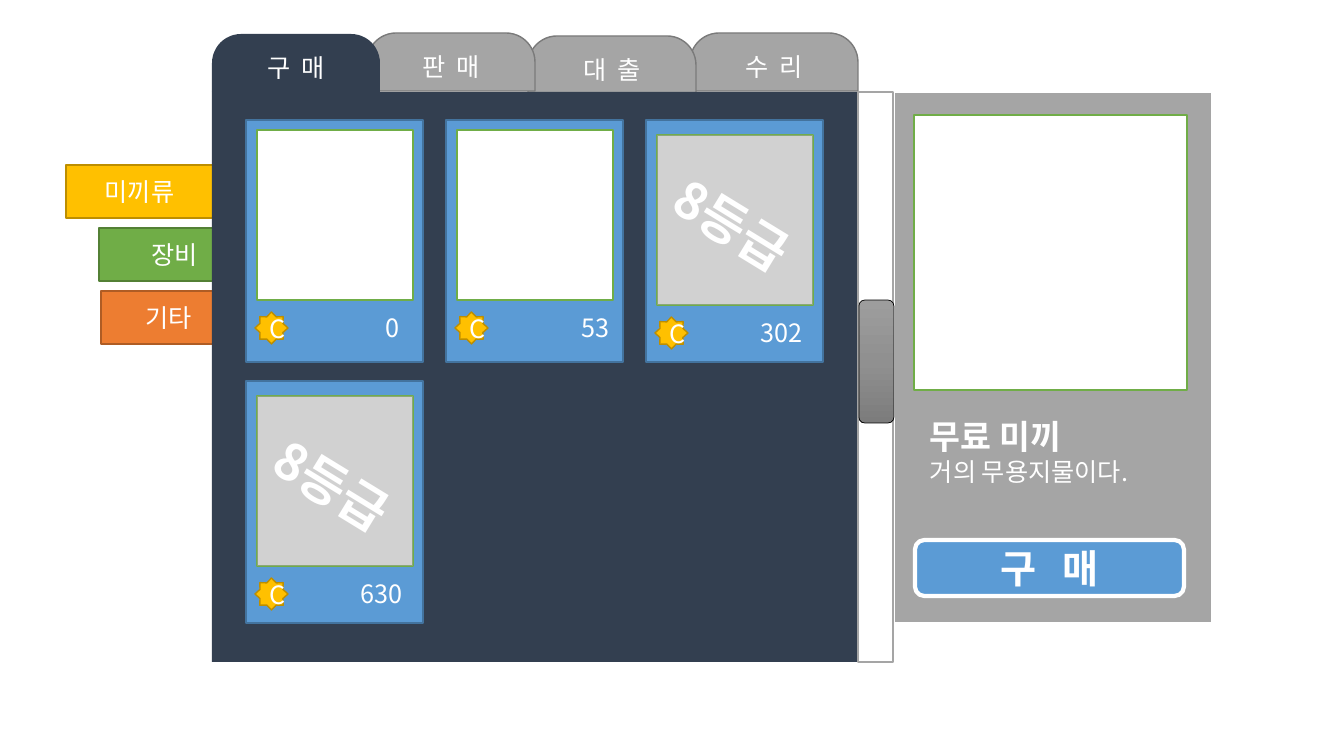
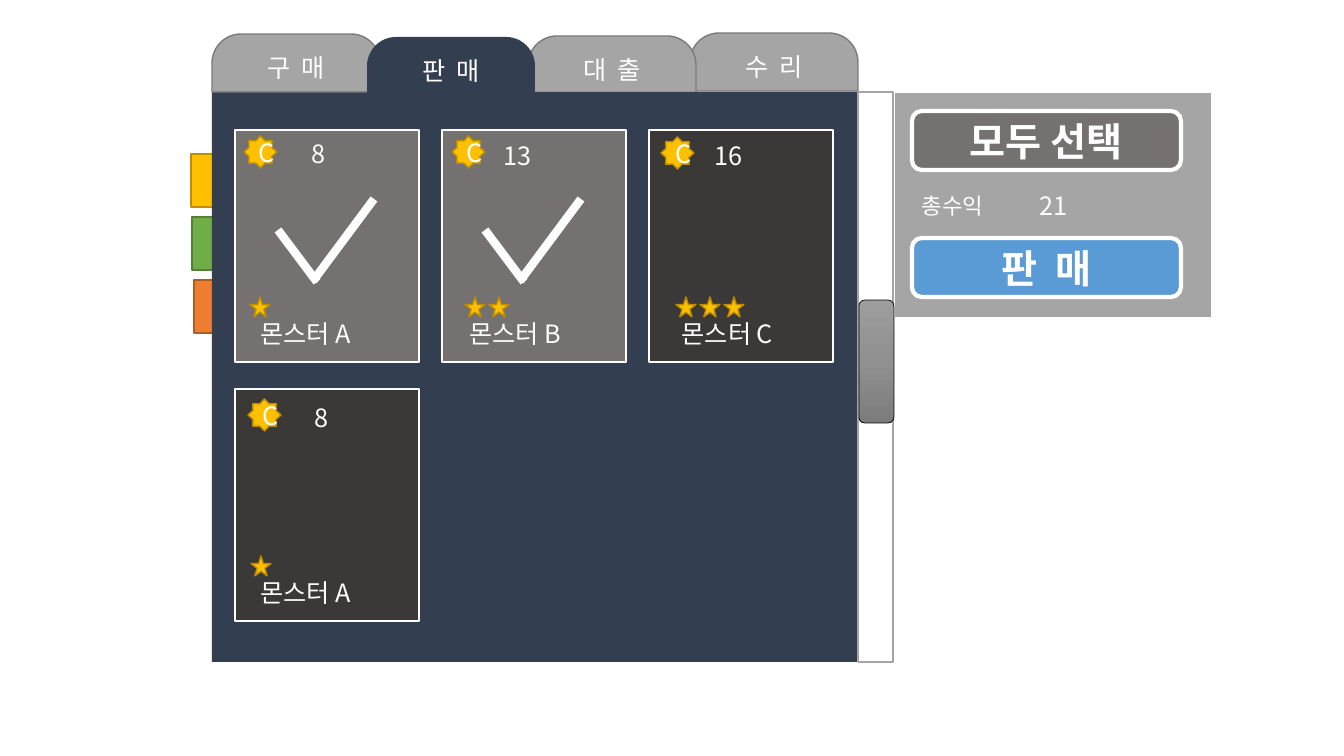
from collections import namedtuple
from copy import deepcopy
from dataclasses import dataclass

from lxml.etree import SubElement
from pptx import Presentation
from pptx.dml.color import RGBColor
from pptx.enum.shapes import MSO_CONNECTOR as Connector, MSO_SHAPE as Preset
from pptx.enum.text import MSO_ANCHOR as Anchor, MSO_AUTO_SIZE as AutoSize, PP_ALIGN as Align
from pptx.oxml.ns import qn
from pptx.util import Emu, Pt

EMU_PER_PIXEL = 914400 / 100.8


@dataclass(frozen=True)
class Theme:
    """Colours, type sizes and line widths of the shop screens."""
    font: str = "Noto Sans CJK KR"
    white: str = "FFFFFF"
    black: str = "000000"
    navy: str = "333F50"
    gray: str = "A5A5A5"
    gray_edge: str = "7A7A7A"
    blue: str = "5B9BD5"
    blue_edge: str = "43739E"
    gold: str = "FFC000"
    gold_edge: str = "BD8E00"
    green: str = "70AD47"
    green_edge: str = "538035"
    orange: str = "ED7D31"
    orange_edge: str = "AF5C24"
    selected: str = "767171"
    unselected: str = "3B3838"
    thumb: tuple = ("9D9D9D", "909090", "7C7C7C")
    label: int = 16
    body: int = 18
    heading: int = 24
    action: int = 28
    stamp: int = 36
    thin: float = 0.5
    edge: float = 1
    frame: float = 1.5
    thick: float = 3
    check: float = 6


THEME = Theme()


class Box(namedtuple("Box", "left top width height")):
    """A rectangle in pixels."""

    def inside(self, left, top, width, height):
        """Return a box placed relative to this one."""
        return Box(self.left + left, self.top + top, width, height)

    def emu(self):
        """Return the four lengths in EMU."""
        return [pixels(value) for value in self]


Item = namedtuple("Item", "price price_right locked")
Monster = namedtuple("Monster", "name price stars selected coin amount star_left name_left")

FRAME = Box(212, 92, 681, 570)
SIDE = Box(894, 92, 318, 531)
TAB_LABELS = ["구 매", "판 매", "대 출", "수 리"]
TAB_LEFTS = [212, 367, 528, 690]
ITEMS = [Item("0", 163, False), Item("53", 173, False),
         Item("302", 166, True), Item("630", 166, True)]
MONSTERS = [
    Monster("몬스터 A", "8", 1, True, (9, 6), (100, 3), 15, -11),
    Monster("몬스터 B", "13", 2, True, (10, 6), (99, 5), 23, -8),
    Monster("몬스터 C", "16", 3, False, (12, 7), (103, 5), 27, -3),
    Monster("몬스터 A", "8", 1, False, (13, 10), (103, 8), 16, -11),
]


def pixels(value):
    """Turn pixels into EMU."""
    return Emu(round(value * EMU_PER_PIXEL))


def set_values(target, values):
    """Set every attribute named in a dict."""
    for name, value in values.items():
        setattr(target, name, value)


def write(paragraph, text, size=THEME.body, bold=False, align=Align.CENTER, spacing=0):
    """Write one styled run, with letter spacing in points."""
    paragraph.alignment = align
    run = paragraph.add_run()
    run.text = text
    set_values(run.font, {"size": Pt(size), "bold": bold, "name": THEME.font})
    run.font.color.rgb = RGBColor.from_string(THEME.white)
    properties = run.font._element
    SubElement(properties, qn("a:ea")).set("typeface", THEME.font)
    if spacing:
        properties.set("spc", str(spacing * 100))


def add_shape(slide, preset, box, fill, line=None, width=THEME.edge, text="", **style):
    """Add a filled preset shape, with an optional edge and label."""
    shape = slide.shapes.add_shape(preset, *box.emu())
    shape.shadow.inherit = False
    shape.fill.solid()
    shape.fill.fore_color.rgb = RGBColor.from_string(fill)
    if line:
        shape.line.color.rgb = RGBColor.from_string(line)
        shape.line.width = Pt(width)
    else:
        shape.line.fill.background()
    if text:
        shape.text_frame.vertical_anchor = Anchor.MIDDLE
        write(shape.text_frame.paragraphs[0], text, **style)
    return shape


def add_text(slide, box, *lines, rotation=0):
    """Add a wrapping text box; each line is a dict of write() values."""
    shape = slide.shapes.add_textbox(*box.emu())
    shape.rotation = rotation
    frame = shape.text_frame
    set_values(frame, {"word_wrap": True, "auto_size": AutoSize.SHAPE_TO_FIT_TEXT})
    for index, line in enumerate(lines):
        paragraph = frame.add_paragraph() if index else frame.paragraphs[0]
        write(paragraph, **line)


def add_number(slide, box, text):
    """Add a right-aligned line of body text."""
    add_text(slide, box, {"text": text, "align": Align.RIGHT})


def add_coin(slide, box):
    """Add the gold coin."""
    add_shape(slide, Preset.STAR_8_POINT, box, THEME.gold, THEME.gold_edge, text="C")


def add_button(slide, box, fill, text, spacing=0):
    """Add a rounded action button."""
    add_shape(slide, Preset.ROUNDED_RECTANGLE, box, fill, THEME.white, THEME.thick,
              text, size=THEME.action, bold=True, spacing=spacing)


def add_tab(slide, index, top, active):
    """Add one tab of the top row."""
    fill, line = (THEME.navy, None) if active else (THEME.gray, THEME.gray_edge)
    shape = add_shape(slide, Preset.ROUND_2_SAME_RECTANGLE,
                      Box(TAB_LEFTS[index], top, 168, 58), fill, line,
                      text=TAB_LABELS[index], spacing=2)
    shape.adjustments[0] = 0.5
    shape.adjustments[1] = 0


def add_categories(slide, top, lefts, labels):
    """Add the coloured category flags at the left of the frame."""
    colors = [(THEME.gold, THEME.gold_edge), (THEME.green, THEME.green_edge),
              (THEME.orange, THEME.orange_edge)]
    widths = [147, 151, 135]
    for index in (0, 2, 1):
        box = Box(lefts[index], top + 63 * index, widths[index], 53)
        flag = add_shape(slide, Preset.PENTAGON, box, *colors[index], text=labels[index])
        flag.adjustments[0] = 0


def add_scrollbar(slide, box):
    """Add the scroll track and its shaded thumb."""
    add_shape(slide, Preset.RECTANGLE, box, THEME.white, THEME.gray)
    thumb = add_shape(slide, Preset.ROUNDED_RECTANGLE, box.inside(1, 208, 35, 123),
                      THEME.gray, THEME.black, THEME.thin)
    thumb.fill.gradient()
    thumb.fill.gradient_angle = 270
    stops = thumb._element.spPr.find(qn("a:gradFill")).find(qn("a:gsLst"))
    stops.insert(1, deepcopy(stops[0]))
    for index, (stop, color) in enumerate(zip(thumb.fill.gradient_stops, THEME.thumb)):
        stop.color.rgb = RGBColor.from_string(color)
        stop.position = index / 2


def add_frame(slide, active, tab_tops, side):
    """Add the tabs, main panel, side panel and scrollbar."""
    for index in (3, 2):
        add_tab(slide, index, tab_tops[index], False)
    add_shape(slide, Preset.RECTANGLE, FRAME, THEME.navy)
    add_shape(slide, Preset.RECTANGLE, side, THEME.gray, THEME.white, THEME.frame)
    add_scrollbar(slide, FRAME.inside(646, 0, 35, FRAME.height))
    for index in (1 - active, active):
        add_tab(slide, index, tab_tops[index], index == active)


def grid(first, step_x, step_y, count):
    """Return boxes in rows of three."""
    return [first.inside(index % 3 * step_x, index // 3 * step_y, first.width, first.height)
            for index in range(count)]


def add_item(slide, box, item):
    """Add a card for one item on sale."""
    shift = 5 if item.locked else 0
    photo = box.inside(11, 10 + shift, 156, 170)
    add_shape(slide, Preset.RECTANGLE, box, THEME.blue, THEME.blue_edge)
    add_shape(slide, Preset.RECTANGLE, photo, THEME.white, THEME.green)
    add_coin(slide, box.inside(9, 192 + shift, 33, 32))
    add_number(slide, box.inside(item.price_right - 120, 187 + shift, 120, 40), item.price)
    if item.locked:
        cover = add_shape(slide, Preset.RECTANGLE, photo, THEME.gray)
        color = cover._element.spPr.find(qn("a:solidFill"))[0]
        SubElement(color, qn("a:alpha")).set("val", "50000")
        add_text(slide, box.inside(13, 75, 166, 72),
                 {"text": "8등급", "size": THEME.stamp, "bold": True, "align": Align.LEFT},
                 rotation=31.5)


def add_check(slide, box):
    """Add a check mark made of two grouped strokes."""
    group = slide.shapes.add_group_shape()
    for start, end in (((43, 100), (82, 152)), ((139, 69), (78, 151))):
        points = [pixels(corner + offset) for point in (start, end)
                  for corner, offset in zip(box, point)]
        stroke = group.shapes.add_connector(Connector.STRAIGHT, *points)
        stroke.line.color.rgb = RGBColor.from_string(THEME.white)
        stroke.line.width = Pt(THEME.check)
        SubElement(stroke._element.spPr, qn("a:effectLst"))


def add_monster(slide, box, monster):
    """Add a card for one monster to sell."""
    fill = THEME.selected if monster.selected else THEME.unselected
    add_shape(slide, Preset.RECTANGLE, box, fill, THEME.white, THEME.frame)
    add_number(slide, box.inside(monster.name_left, 183, 137, 40), monster.name)
    add_coin(slide, box.inside(*monster.coin, 33, 32))
    right, top = monster.amount
    add_number(slide, box.inside(right - 70, top, 70, 40), monster.price)
    for index in range(monster.stars):
        add_shape(slide, Preset.STAR_5_POINT,
                  box.inside(monster.star_left + 24 * index, 167, 20, 20),
                  THEME.gold, THEME.gold_edge)
    if monster.selected:
        add_check(slide, box)


def add_item_detail(slide, box):
    """Fill the side panel with the chosen item."""
    add_shape(slide, Preset.RECTANGLE, box.inside(20, 23, 273, 275), THEME.white, THEME.green)
    add_text(slide, box.inside(26, 319, 269, 82),
             {"text": "무료 미끼", "size": THEME.heading, "bold": True, "align": Align.LEFT},
             {"text": "거의 무용지물이다.", "align": Align.LEFT})
    add_button(slide, box.inside(21, 448, 269, 56), THEME.blue, "구 매", spacing=6)


def add_sale_summary(slide, box):
    """Fill the side panel with the total of the sale."""
    add_button(slide, box.inside(18, 19, 269, 59), THEME.selected, "모두 선택")
    add_text(slide, box.inside(18, 95, 97, 37),
             {"text": "총수익", "size": THEME.label, "align": Align.LEFT})
    add_number(slide, box.inside(107, 93, 76, 40), "21")
    add_button(slide, box.inside(18, 146, 269, 59), THEME.blue, "판 매", spacing=3)


def buy_slide(slide):
    """Build the screen for buying items."""
    add_categories(slide, 165, [66, 99, 101], ["미끼류", "장비", "기타"])
    add_frame(slide, 0, [34, 33, 36, 33], SIDE)
    for box, item in zip(grid(Box(246, 120, 177, 242), 200, 261, len(ITEMS)), ITEMS):
        add_item(slide, box, item)
    add_item_detail(slide, SIDE)


def sell_slide(slide):
    """Build the screen for selling monsters."""
    side = SIDE._replace(height=226)
    add_categories(slide, 154, [191, 192, 194], ["", "", ""])
    add_frame(slide, 1, [34, 37, 36, 33], side)
    for box, monster in zip(grid(Box(235, 130, 184, 232), 207, 259, len(MONSTERS)), MONSTERS):
        add_monster(slide, box, monster)
    add_sale_summary(slide, side)


def main():
    """Build and save the presentation."""
    presentation = Presentation()
    set_values(presentation, {"slide_width": pixels(1344), "slide_height": pixels(756)})
    for build in (buy_slide, sell_slide):
        build(presentation.slides.add_slide(presentation.slide_layouts[6]))
    presentation.save("out.pptx")


main()
